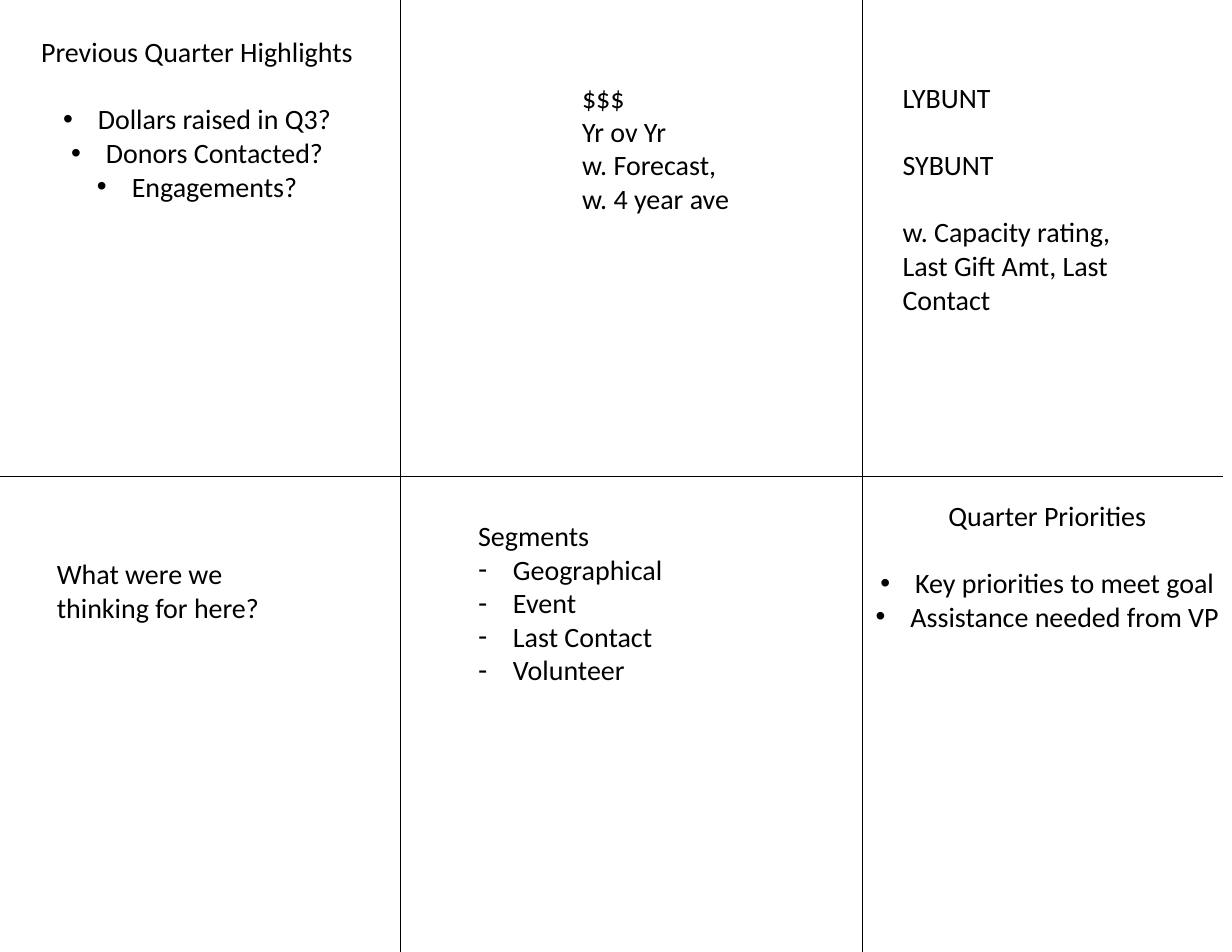
import pptx
import pptx.util
import pptx.dml.color
import pptx.enum.shapes
import pptx.enum.text
import pptx.oxml.ns
import lxml.etree

Cm, Pt = pptx.util.Cm, pptx.util.Pt
ALIGN = pptx.enum.text.PP_ALIGN
COLORS = {"ink": "000000"}
INK = pptx.dml.color.RGBColor.from_string(COLORS["ink"])
INDENT = Cm(0.79)
GAP = Pt(21.6)  # one line of 18 pt text


def add_bullet(para, mark):
    """Set a bullet mark with a hanging indent, or none."""
    props = para._p.get_or_add_pPr()
    props.set("marL", str(INDENT if mark else 0))
    props.set("indent", str(-INDENT if mark else 0))
    tag = "a:buChar" if mark else "a:buNone"
    bullet = lxml.etree.SubElement(props, pptx.oxml.ns.qn(tag))
    if mark:
        bullet.set("char", mark)


def fill_panel(box, lines, mark, gaps, align):
    """Write the lines; the first is a heading when a mark is given."""
    frame = box.text_frame
    frame.word_wrap = True
    frame.vertical_anchor = pptx.enum.text.MSO_ANCHOR.TOP
    frame.auto_size = pptx.enum.text.MSO_AUTO_SIZE.SHAPE_TO_FIT_TEXT
    for number, line in enumerate(lines):
        para = frame.add_paragraph() if number else frame.paragraphs[0]
        para.text = line
        add_bullet(para, mark if number else None)
        para.alignment = align
        para.space_before = GAP if number in gaps else Pt(0)
        para.font.name = "Calibri"
        para.font.size = Pt(18)
        para.font.bold = False
        para.font.color.rgb = INK


deck = pptx.Presentation()
deck.slide_width, deck.slide_height = Cm(27.94), Cm(21.59)
page = deck.slides.add_slide(deck.slide_layouts[4])
holders = {holder.placeholder_format.idx: holder for holder in page.placeholders}

# Grid lines: left, top, right, bottom
for ends in [(-0.2, 10.8, 27.74, 10.8), (9.07, 21.59, 9.07, 0), (19.56, 21.59, 19.56, 0)]:
    rule = page.shapes.add_connector(
        pptx.enum.shapes.MSO_CONNECTOR.STRAIGHT, *[Cm(end) for end in ends])
    rule.line.color.rgb = INK
    rule.line.width = Pt(0.5)
    lxml.etree.SubElement(rule._element.spPr, pptx.oxml.ns.qn("a:effectLst"))

# List panels: placeholder, place, bullet, lines after a gap, alignment, text
lists = [
    (1, (0.28, 0.66, 8.38, 5.64), "•", {1}, ALIGN.CENTER,
     ["Previous Quarter Highlights", "Dollars raised in Q3?", "Donors Contacted?",
      "Engagements?"]),
    (2, (19.56, 11.18, 8.38, 4.11), "•", {1}, ALIGN.CENTER,
     ["Quarter Priorities", "Key priorities to meet goal", "Assistance needed from VP"]),
    (4, (10.59, 11.63, 6.35, 4.88), "-", set(), ALIGN.LEFT,
     ["Segments", "Geographical", "Event", "Last Contact", "Volunteer"]),
]
for index, place, mark, gaps, align, lines in lists:
    box = holders.pop(index)
    box.left, box.top, box.width, box.height = [Cm(length) for length in place]
    fill_panel(box, lines, mark, gaps, align)

# Unused placeholders
for holder in holders.values():
    holder._element.getparent().remove(holder._element)

# Plain note panels: place, lines after a gap, text
notes = [
    ((12.95, 1.7, 6.35, 3.33), set(),
     ["$$$", "Yr ov Yr", "w. Forecast,", "w. 4 year ave"]),
    ((20.22, 1.7, 6.35, 5.64), {1, 2},
     ["LYBUNT", "SYBUNT", "w. Capacity rating, Last Gift Amt, Last Contact"]),
    ((1.04, 12.5, 6.12, 1.8), set(), ["What were we thinking for here?"]),
]
for place, gaps, lines in notes:
    box = page.shapes.add_textbox(*[Cm(length) for length in place])
    fill_panel(box, lines, None, gaps, ALIGN.LEFT)

deck.save("out.pptx")
